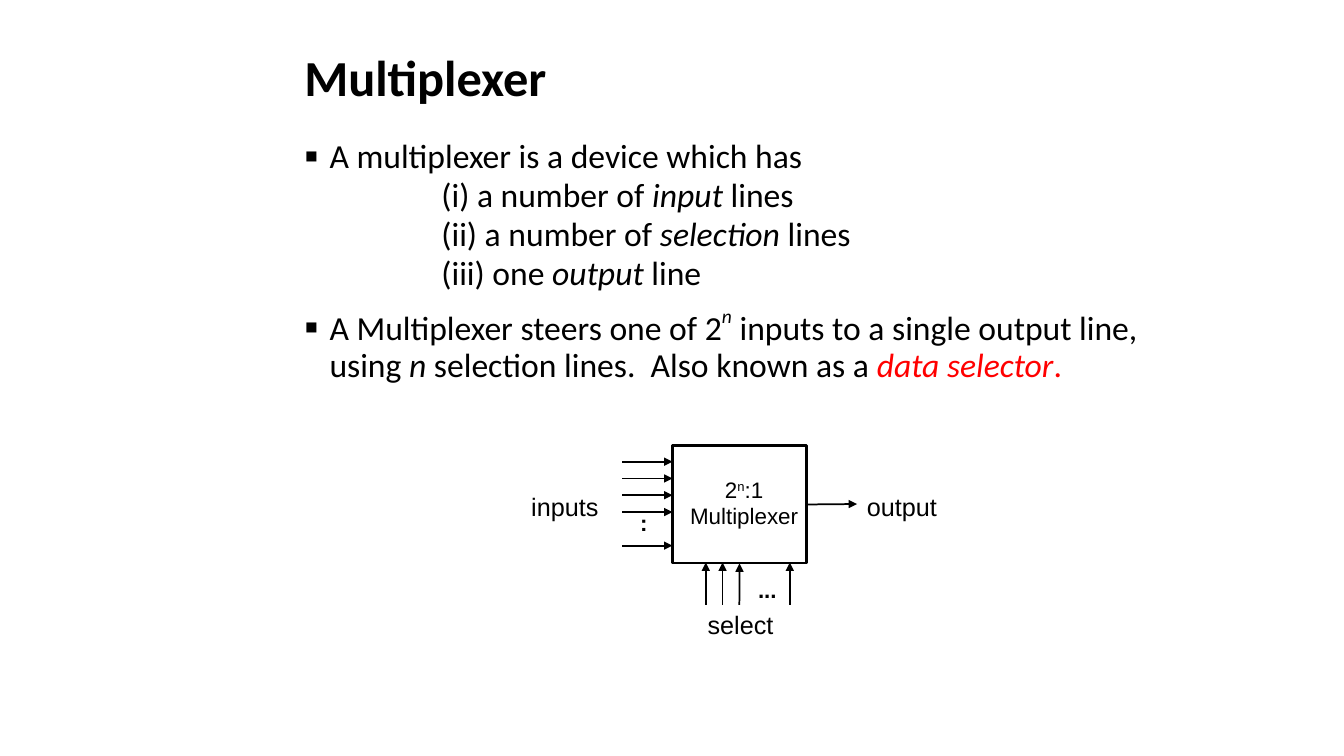
from lxml.etree import SubElement
from pptx import Presentation
from pptx.dml.color import RGBColor
from pptx.enum.shapes import MSO_CONNECTOR, MSO_SHAPE
from pptx.enum.text import MSO_ANCHOR, PP_ALIGN
from pptx.oxml.ns import qn
from pptx.util import Inches, Pt

BLACK, RED = "000000", "FF0000"
PITCH = 1 / 6  # gap between neighbouring signal lines


def color(hex_code):
    return RGBColor.from_string(hex_code)


def add_run(paragraph, text, size=18, font="Arial", fill=BLACK,
            bold=False, italic=False, baseline=0):
    run = paragraph.add_run()
    run.text = text
    run.font.size = Pt(size)
    run.font.name = font
    run.font.color.rgb = color(fill)
    run.font.bold = bold
    run.font.italic = italic
    if baseline:
        run._r.get_or_add_rPr().set("baseline", str(baseline * 1000))


def indent(paragraph, margin, first=0, bullet=None):
    p_pr = paragraph._p.get_or_add_pPr()
    p_pr.set("marL", str(Inches(margin)))
    p_pr.set("indent", str(Inches(first)))
    if bullet:
        SubElement(p_pr, qn("a:buSzPct")).set("val", "120000")
        SubElement(p_pr, qn("a:buFont")).set("typeface", "Arial")
        SubElement(p_pr, qn("a:buChar")).set("char", bullet)


def add_text(slide, box, paragraphs, align=PP_ALIGN.LEFT, anchor=MSO_ANCHOR.TOP,
             line_spacing=1.0, **run_format):
    """Each paragraph is a list of (text, format overrides) pairs."""
    frame = slide.shapes.add_textbox(*map(Inches, box)).text_frame
    frame.word_wrap = True
    frame.vertical_anchor = anchor
    for i, runs in enumerate(paragraphs):
        paragraph = frame.add_paragraph() if i else frame.paragraphs[0]
        paragraph.alignment = align
        paragraph.line_spacing = line_spacing
        for text, overrides in runs:
            add_run(paragraph, text, **{**run_format, **overrides})
    return frame


def add_arrow(slide, x1, y1, x2, y2):
    arrow = slide.shapes.add_connector(
        MSO_CONNECTOR.STRAIGHT, *map(Inches, (x1, y1, x2, y2)))
    arrow.line.color.rgb = color(BLACK)
    arrow.line.width = Pt(1.25)
    SubElement(arrow.line._get_or_add_ln(), qn("a:tailEnd")).set("type", "triangle")
    SubElement(arrow._element.spPr, qn("a:effectLst"))
    return arrow


def add_definition(slide):
    italic = {"italic": True}
    parts = [("(i) a number of ", "input", " lines"),
             ("(ii) a number of ", "selection", " lines"),
             ("(iii) one ", "output", " line")]
    frame = add_text(
        slide, (2.92, 1.33, 8.5, 2.92),
        [[("A multiplexer is a device which has", {})],
         *[[(lead, {}), (term, italic), (rest, {})] for lead, term, rest in parts],
         [("A Multiplexer steers one of 2", {}),
          ("n", {"italic": True, "baseline": 50}),
          (" inputs to a single output line, using ", {}),
          ("n", italic),
          (" selection lines.  Also known as a ", {}),
          ("data selector", {"italic": True, "fill": RED}),
          (".", {"fill": RED})]],
        size=24, font="Calibri", line_spacing=0.9)
    opening, *sub_items, summary = frame.paragraphs
    for point, space in ((opening, 10), (summary, 12)):
        point.space_before = Pt(space)
        indent(point, 0.25, -0.25, bullet="▪")
    for item in sub_items:
        item.space_before = Pt(2)
        indent(item, 1.36)


def add_diagram(slide):
    # Multiplexer block
    block = slide.shapes.add_shape(
        MSO_SHAPE.RECTANGLE, *map(Inches, (6.67, 4.42, 1.33, 1.17)))
    block.shadow.inherit = False
    block.fill.background()
    block.line.color.rgb = color(BLACK)
    block.line.width = Pt(1.5)
    add_text(slide, (6.67, 4.67, 1.42, 0.64),
             [[("2", {}), ("n", {"baseline": 30}), (":1", {})],
              [("Multiplexer", {})]],
             align=PP_ALIGN.CENTER, size=16)

    # Input lines, with one skipped for the dots
    for i in (0, 1, 2, 3, 5):
        y = 4.58 + i * PITCH
        add_arrow(slide, 6.17, y, 6.67, y)

    # Selection lines; the third meets the middle of the block
    for i in (0, 1, 2, 5):
        x = 7 + i * PITCH
        select = add_arrow(slide, x, 6, x, 5.58)
        if i == 2:
            select.end_connect(block, 2)

    # Output line
    add_arrow(slide, 8, 5, 8.5, 5).begin_connect(block, 3)

    # Labels
    for text, box in (("inputs", (5.17, 4.83, 0.92, 0.4)),
                      ("output", (8.5, 4.83, 0.92, 0.4)),
                      ("select", (6.92, 6, 1, 0.4))):
        add_text(slide, box, [[(text, {})]])
    for dots, box in ((":", (6.25, 5, 0.25, 0.37)),
                      ("...", (7.42, 5.67, 0.42, 0.37))):
        add_text(slide, box, [[(dots, {})]], size=16, bold=True)


def main():
    deck = Presentation()
    deck.slide_width, deck.slide_height = Inches(13.33), Inches(7.5)
    slide = deck.slides.add_slide(deck.slide_layouts[6])
    add_text(slide, (2.92, 0.17, 8.5, 1.25), [[("Multiplexer", {})]],
             anchor=MSO_ANCHOR.MIDDLE, line_spacing=0.9,
             size=36, font="Calibri", bold=True)
    add_definition(slide)
    add_diagram(slide)
    deck.save("out.pptx")


if __name__ == "__main__":
    main()
